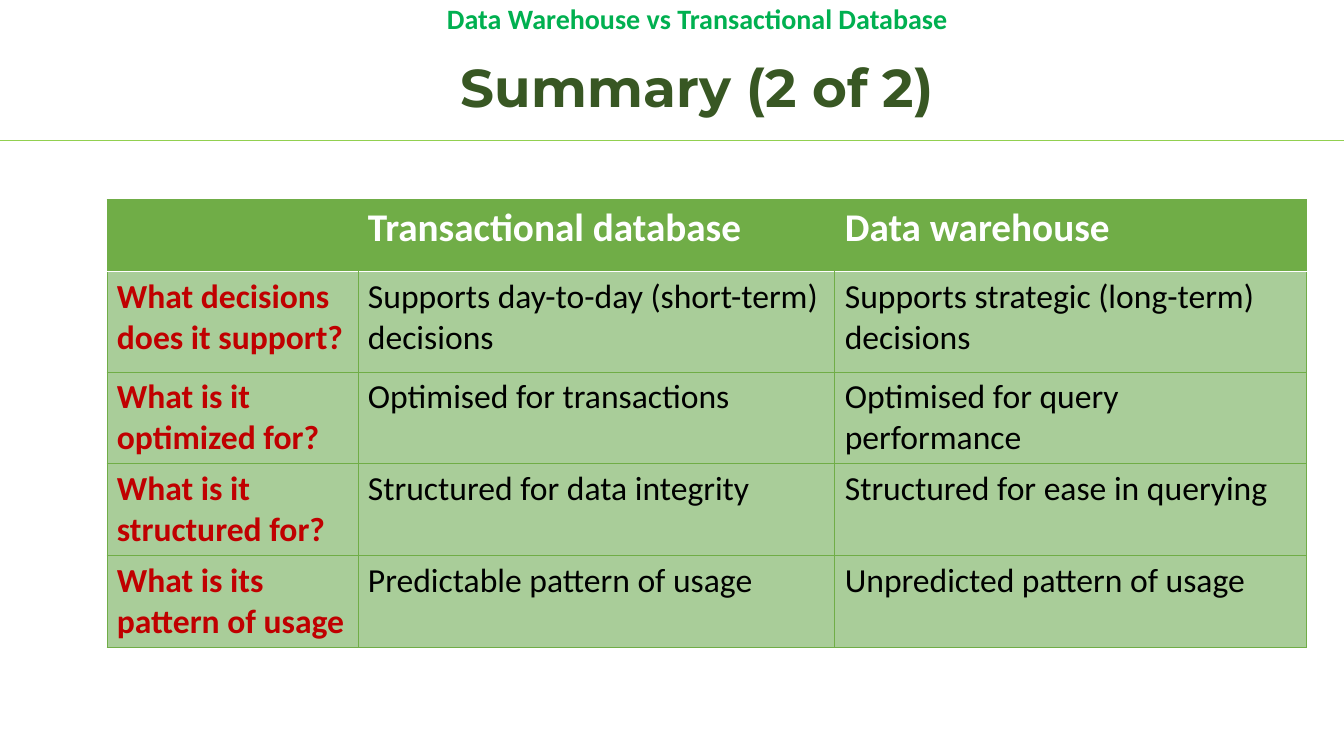
from dataclasses import dataclass

import pptx
import pptx.dml.color
import pptx.enum.shapes
import pptx.enum.text
import pptx.oxml
import pptx.oxml.ns
import pptx.util
from pptx.util import Inches

GREEN, PALE, WHITE, RED, BLACK = "70AD47", "A9CD99", "FFFFFF", "C00000", "000000"
WIDE = 13.33
TOP = 1.98
COLS = [2.49, 4.73, 4.68]
ROWS = [0.71, 1, 0.91, 0.91, 0.91]
CELLS = [
    ["", "Transactional database", "Data warehouse"],
    ["What decisions does it support?", "Supports day-to-day (short-term) decisions",
     "Supports strategic (long-term) decisions"],
    ["What is it optimized for?", "Optimised for transactions",
     "Optimised for query performance"],
    ["What is it structured for?", "Structured for data integrity",
     "Structured for ease in querying"],
    ["What is its pattern of usage", "Predictable pattern of usage",
     "Unpredicted pattern of usage"],
]
PLAIN = "{2D5ABB26-0587-4C30-8999-92F81FD0307C}"


@dataclass
class Style:
    size: float
    color: str
    bold: bool = True
    font: str = "Calibri"


@dataclass
class Label:
    text: str
    box: tuple[float, float, float, float]
    style: Style
    anchor: pptx.enum.text.MSO_ANCHOR


LABELS = [
    Label("Summary (2 of 2)", (0.87, 0.41, 12.09, 0.97),
          Style(38, "385723", font="Montserrat"), pptx.enum.text.MSO_ANCHOR.MIDDLE),
    Label("Data Warehouse vs Transactional Database", (2.62, 0, 8.59, 0.41),
          Style(20, "00B050"), pptx.enum.text.MSO_ANCHOR.TOP),
]
HEAD, ASK, REPLY = Style(28, WHITE), Style(24, RED), Style(24, BLACK, False)


def color(code: str) -> pptx.dml.color.RGBColor:
    return pptx.dml.color.RGBColor.from_string(code)


def write(para, text: str, style: Style) -> None:
    run = para.add_run()
    run.text = text
    run.font.size = pptx.util.Pt(style.size)
    run.font.name = style.font
    run.font.bold = style.bold
    run.font.color.rgb = color(style.color)


def draw_label(slide, label: Label) -> None:
    box = slide.shapes.add_textbox(*map(Inches, label.box))
    frame = box.text_frame
    frame.word_wrap = True
    frame.vertical_anchor = label.anchor
    para = frame.paragraphs[0]
    para.alignment = pptx.enum.text.PP_ALIGN.CENTER
    para.line_spacing = 0.9
    write(para, label.text, label.style)


def draw_rule(slide) -> None:
    y = Inches(1.39)
    rule = slide.shapes.add_connector(
        pptx.enum.shapes.MSO_CONNECTOR.STRAIGHT, 0, y, Inches(WIDE), y)
    rule.line.color.rgb = color("92D050")
    rule.line.width = pptx.util.Pt(0.5)
    rule._element.spPr.append(pptx.oxml.parse_xml(
        f'<a:effectLst {pptx.oxml.ns.nsdecls("a")}/>'))


def edge(cell, side: str, code: str, width: float) -> None:
    # Borders come before the fill in the cell properties
    props = cell._tc.get_or_add_tcPr()
    line = pptx.oxml.parse_xml(
        f'<a:ln{side} {pptx.oxml.ns.nsdecls("a")} w="{pptx.util.Pt(width)}">'
        f'<a:solidFill><a:srgbClr val="{code}"/></a:solidFill></a:ln{side}>')
    props.insert(len(props) - 1, line)


def draw_table(slide) -> None:
    table = slide.shapes.add_table(
        len(ROWS), len(COLS), Inches(1.06), Inches(TOP),
        Inches(sum(COLS)), Inches(sum(ROWS))).table
    table.first_row = True
    table.horz_banding = False
    table._tbl.tblPr.find(pptx.oxml.ns.qn("a:tableStyleId")).text = PLAIN
    for col, width in zip(table.columns, COLS):
        col.width = Inches(width)
    for row, height in zip(table.rows, ROWS):
        row.height = Inches(height)

    last = len(COLS) - 1
    for r, texts in enumerate(CELLS):
        for c, text in enumerate(texts):
            cell = table.cell(r, c)
            cell.fill.solid()
            cell.fill.fore_color.rgb = color(GREEN if r == 0 else PALE)
            # The header has no inner uprights and a white foot
            for side in "LRTB":
                inner = (side == "L" and c > 0) or (side == "R" and c < last)
                if r == 0 and inner:
                    continue
                foot = (r == 0 and side == "B") or (r == 1 and side == "T")
                edge(cell, side, WHITE if foot else GREEN, 1 if foot else 0.5)
            if text:
                style = HEAD if r == 0 else ASK if c == 0 else REPLY
                write(cell.text_frame.paragraphs[0], text, style)


def main() -> None:
    deck = pptx.Presentation()
    deck.slide_width, deck.slide_height = Inches(WIDE), Inches(7.5)
    slide = deck.slides.add_slide(deck.slide_layouts[6])
    # Rule and headings
    draw_rule(slide)
    for label in LABELS:
        draw_label(slide, label)
    # Comparison
    draw_table(slide)
    deck.save("out.pptx")


if __name__ == "__main__":
    main()
